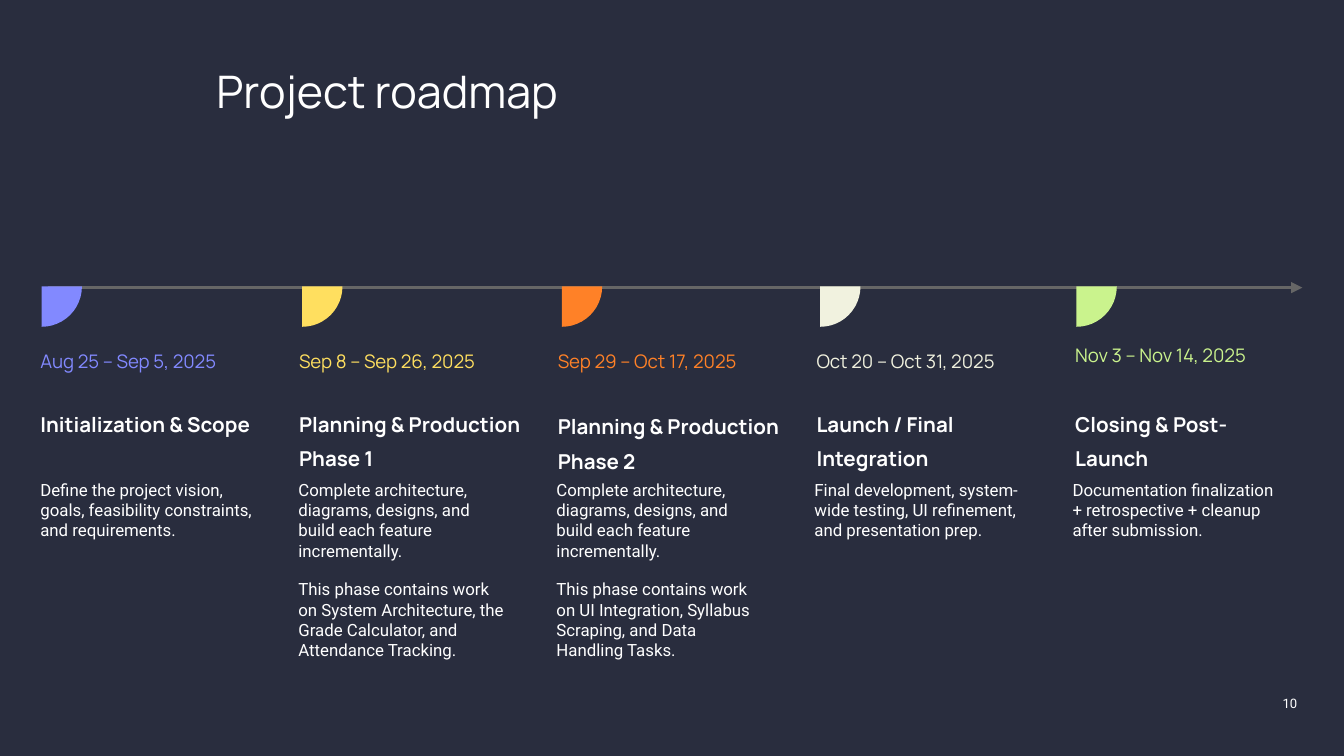
from dataclasses import dataclass

from lxml import etree
from pptx import Presentation
from pptx.dml.color import RGBColor
from pptx.enum.shapes import MSO_CONNECTOR, MSO_SHAPE
from pptx.enum.text import MSO_ANCHOR, PP_ALIGN
from pptx.oxml.ns import qn
from pptx.util import Pt

PIE = MSO_SHAPE.PIE
LINE = MSO_CONNECTOR.STRAIGHT
TOP, MIDDLE = MSO_ANCHOR.TOP, MSO_ANCHOR.MIDDLE
LEFT, RIGHT = PP_ALIGN.LEFT, PP_ALIGN.RIGHT

COLORS = {
    "back": "292D3E",
    "text": "FFFFFF",
    "axis": "666666",
    "blue": "8289FF",
    "yellow": "FFDF5F",
    "orange": "FF8127",
    "cream": "F1F2DF",
    "green": "CAF38D",
}
HEAD, BODY = "Manrope", "Roboto"

# Column grid, in points
START, WIDTH = 21.6, 118.8
STEP, BODY_STEP = 138.6, 138.24
PIE_TOP, PIE_SIZE = 131.9, 43.2


@dataclass
class Style:
    font: str
    size: float
    color: str = "text"
    bold: bool = False
    lines: float = 1.0
    gap: float = 0
    align: PP_ALIGN = LEFT
    anchor: MSO_ANCHOR = TOP


@dataclass
class Phase:
    color: str
    date: str
    name: str
    notes: list[str]
    pie: float
    date_top: float = 178.6
    name_top: float = 215.3
    pad: float = 7.2
    date_lines: float = 1.5


BUILD = "Complete architecture, diagrams, designs, and build each feature incrementally."
PHASES = [
    Phase("blue", "Aug 25 – Sep 5, 2025", "Initialization & Scope",
          ["Define the project vision, goals, feasibility constraints, and requirements."],
          0.7, pad=0),
    Phase("yellow", "Sep 8 – Sep 26, 2025", "Planning & Production Phase 1",
          [BUILD, "This phase contains work on System Architecture, the Grade Calculator, "
                  "and Attendance Tracking."],
          140.3),
    Phase("orange", "Sep 29 – Oct 17, 2025", "Planning & Production Phase 2",
          [BUILD, "This phase contains work on UI Integration, Syllabus Scraping, "
                  "and Data Handling Tasks."],
          279.4, name_top=216.7),
    Phase("cream", "Oct 20 – Oct 31, 2025", "Launch / Final Integration",
          ["Final development, system-wide testing, UI refinement, and presentation prep."],
          417.8),
    Phase("green", "Nov 3 – Nov 14, 2025", "Closing & Post-Launch",
          ["Documentation finalization + retrospective + cleanup after submission."],
          555.1, date_top=175.7, date_lines=1.4),
]


def rgb(name: str) -> RGBColor:
    return RGBColor.from_string(COLORS[name])


def add_text(slide, box: tuple, texts: list[str], style: Style,
             pads: tuple = (0, 0, 0, 0)) -> None:
    """Add a text box; pads run left, top, right, bottom."""
    frame = slide.shapes.add_textbox(*map(Pt, box)).text_frame
    frame.word_wrap = True
    frame.vertical_anchor = style.anchor
    (frame.margin_left, frame.margin_top,
     frame.margin_right, frame.margin_bottom) = map(Pt, pads)
    frame.text = "\n".join(texts)
    for i, par in enumerate(frame.paragraphs):
        par.alignment = style.align
        par.line_spacing = style.lines
        par.space_before = Pt(style.gap if i else 0)
        font = par.runs[0].font
        font.name, font.size, font.bold = style.font, Pt(style.size), style.bold
        font.color.rgb = rgb(style.color)


def add_axis(slide) -> None:
    axis = slide.shapes.add_connector(LINE, Pt(25.9), Pt(154.1), Pt(697.7), Pt(154.1))
    axis.line.color.rgb = rgb("axis")
    axis.line.width = Pt(1.5)
    etree.SubElement(axis.line._get_or_add_ln(), qn("a:tailEnd"), type="triangle")
    etree.SubElement(axis._element.spPr, qn("a:effectLst"))


def add_phase(slide, col: int, phase: Phase) -> None:
    # Quarter marker under the axis
    mark = slide.shapes.add_shape(PIE, Pt(phase.pie), Pt(PIE_TOP), Pt(PIE_SIZE), Pt(PIE_SIZE))
    mark.adjustments[0], mark.adjustments[1] = 0, 54
    mark.shadow.inherit = False
    mark.fill.solid()
    mark.fill.fore_color.rgb = rgb(phase.color)
    mark.line.fill.background()

    # Date, name and notes
    left = START + col * STEP
    add_text(slide, (left, phase.date_top, WIDTH, 23.8), [phase.date],
             Style(HEAD, 10, phase.color, lines=phase.date_lines, anchor=MIDDLE))
    add_text(slide, (left, phase.name_top, WIDTH, 26.6), [phase.name],
             Style(HEAD, 11, bold=True, lines=1.4))
    add_text(slide, (START + col * BODY_STEP, 257, WIDTH, 64.8), phase.notes,
             Style(BODY, 9, gap=10), (0, 0, phase.pad, 0))


def main() -> None:
    deck = Presentation()
    deck.slide_width, deck.slide_height = Pt(720), Pt(405)
    slide = deck.slides.add_slide(deck.slide_layouts[6])
    slide.background.fill.solid()
    slide.background.fill.fore_color.rgb = rgb("back")

    # Title and page number
    add_text(slide, (115.9, 37.4, 344.9, 33.8), ["Project roadmap"],
             Style(HEAD, 24, lines=0.9), (0, 0, 7.2, 0))
    add_text(slide, (529.2, 368.6, 172.8, 23), ["10"],
             Style(BODY, 7, align=RIGHT), (7.2, 7.2, 7.2, 7.2))

    # Timeline
    add_axis(slide)
    for col, phase in enumerate(PHASES):
        add_phase(slide, col, phase)

    deck.save("out.pptx")


if __name__ == "__main__":
    main()
